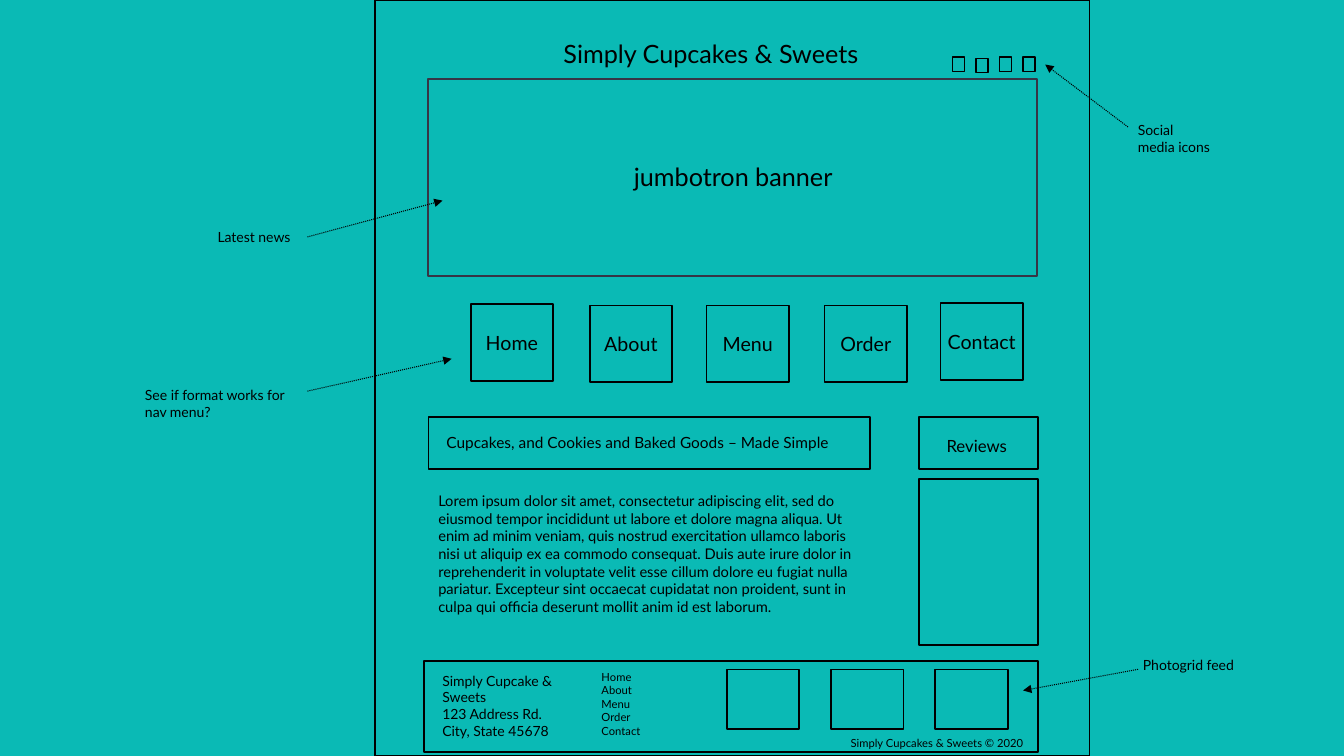
"""Build the wireframe slide for a bakery home page."""
from lxml.etree import SubElement
from pptx import Presentation
from pptx.dml.color import RGBColor
from pptx.enum.dml import MSO_LINE
from pptx.enum.shapes import MSO_CONNECTOR, MSO_SHAPE
from pptx.enum.text import MSO_ANCHOR, PP_ALIGN
from pptx.oxml.ns import qn
from pptx.util import Pt

COLORS = {"background": "0ABAB5", "ink": "000000", "banner": "373545"}
LEFT, CENTER = PP_ALIGN.LEFT, PP_ALIGN.CENTER


class Wireframe:
    """Hold the style and the current slide."""

    def __init__(self, prs, font):
        self.font = font
        self.s = prs.slides.add_slide(prs.slide_layouts[5])
        fill = self.s.background.fill
        fill.solid()
        fill.fore_color.rgb = self.color("background")

    def color(self, name):
        return RGBColor.from_string(COLORS[name])

    def box(self, x, y, w, h, line="ink"):
        sp = self.s.shapes.add_shape(MSO_SHAPE.RECTANGLE, Pt(x), Pt(y), Pt(w), Pt(h))
        sp.shadow.inherit = False
        sp.fill.background()
        sp.line.color.rgb = self.color(line)
        sp.line.width = Pt(1.25)

    def set_lines(self, sp, lines, size, align):
        tf = sp.text_frame
        tf.word_wrap = True
        tf.vertical_anchor = MSO_ANCHOR.TOP
        tf.margin_left = tf.margin_right = Pt(7.2)
        tf.margin_top = tf.margin_bottom = Pt(3.6)
        for i, line in enumerate(lines):
            p = tf.add_paragraph() if i else tf.paragraphs[0]
            p.alignment = align
            p.line_spacing = 1.0
            p.space_before = Pt(0)
            r = p.add_run()
            r.text = line
            r.font.name = self.font
            r.font.size = Pt(size)
            r.font.color.rgb = self.color("ink")

    def title(self, text, x, y, w, h, size):
        sp = self.s.shapes.title
        sp.left, sp.top, sp.width, sp.height = Pt(x), Pt(y), Pt(w), Pt(h)
        self.set_lines(sp, [text], size, LEFT)

    def text(self, lines, x, y, w, h, size, align=LEFT):
        sp = self.s.shapes.add_textbox(Pt(x), Pt(y), Pt(w), Pt(h))
        self.set_lines(sp, lines, size, align)

    def arrow(self, x1, y1, x2, y2):
        sp = self.s.shapes.add_connector(
            MSO_CONNECTOR.STRAIGHT, Pt(x1), Pt(y1), Pt(x2), Pt(y2))
        sp.line.color.rgb = self.color("ink")
        sp.line.width = Pt(0.75)
        sp.line.dash_style = MSO_LINE.ROUND_DOT
        props = sp._element.spPr
        SubElement(props.find(qn("a:ln")), qn("a:tailEnd"), type="triangle")
        SubElement(props, qn("a:effectLst"))


prs = Presentation()
prs.slide_width, prs.slide_height = Pt(960), Pt(540)
page = Wireframe(prs, "Lato")

page.box(267.8, 0, 510.5, 540)
page.title("Simply Cupcakes & Sweets", 395.3, 23.8, 266.4, 28.8, 18)
for i, y in enumerate((41, 41.8, 41, 41)):
    page.box(680.4 + 16.8 * i, y, 8.6, 10.1)

page.box(306, 56.2, 434.9, 141.1, "banner")
page.text(["jumbotron banner"], 375.8, 111.6, 295.9, 28.8, 18, CENTER)

NAV = {"Home": (336.2, 217.4), "About": (421.2, 218.2), "Menu": (504.7, 218.2),
       "Order": (589, 218.2), "Contact": (671.8, 216.7)}
for name, (x, y) in NAV.items():
    page.box(x, y, 59, 54.7)
    page.text([name], x - 9.8, y + 15.2, 78.5, 24.5, 14, CENTER)

page.box(306, 298.1, 315.4, 36.7)
page.text(["Cupcakes, and Cookies and Baked Goods – Made Simple"],
          311.8, 306, 303.1, 20.9, 11)
page.text(["Lorem ipsum dolor sit amet, consectetur adipiscing elit, sed do eiusmod "
           "tempor incididunt ut labore et dolore magna aliqua. Ut enim ad minim "
           "veniam, quis nostrud exercitation ullamco laboris nisi ut aliquip ex ea "
           "commodo consequat. Duis aute irure dolor in reprehenderit in voluptate "
           "velit esse cillum dolore eu fugiat nulla pariatur. Excepteur sint occaecat "
           "cupidatat non proident, sunt in culpa qui officia deserunt mollit anim id "
           "est laborum."], 306, 347.8, 315.4, 108.7, 10.5)

page.box(656.6, 298.1, 85, 36.7)
page.text(["Reviews"], 662.4, 307.4, 70.6, 21.6, 12, CENTER)
page.box(656.6, 342, 85, 118.8)

page.box(303.1, 472.3, 438.5, 64.8)
page.text(["Simply Cupcake & Sweets", "123 Address Rd.", "City, State 45678"],
          308.9, 476.6, 125.3, 55.4, 10)
page.text(list(NAV), 422.6, 475.2, 82.1, 55.4, 8)
for i in range(3):
    page.box(519.1 + 74.5 * i, 478.3, 51.8, 42.5)
page.text(["Simply Cupcakes & Sweets © 2020"], 600.5, 522.7, 172.1, 17.3, 8)

NOTES = [
    ("Social media icons", (805.7, 83.5, 67.7, 31.7), (805.7, 90.7, 746.6, 46.1)),
    ("Photogrid feed", (809.3, 465.1, 102.2, 19.4), (812.9, 478.1, 730.8, 493.2)),
    ("Latest news", (148.3, 159.8, 82.1, 19.4), (219.6, 169.2, 316.1, 143.3)),
    ("See if format works for nav menu?", (96.5, 272.9, 122.4, 31.7),
     (219.6, 279.4, 322.6, 256.3)),
]
for note, place, ends in NOTES:
    page.arrow(*ends)
    page.text([note], *place, 10)

prs.save("out.pptx")
